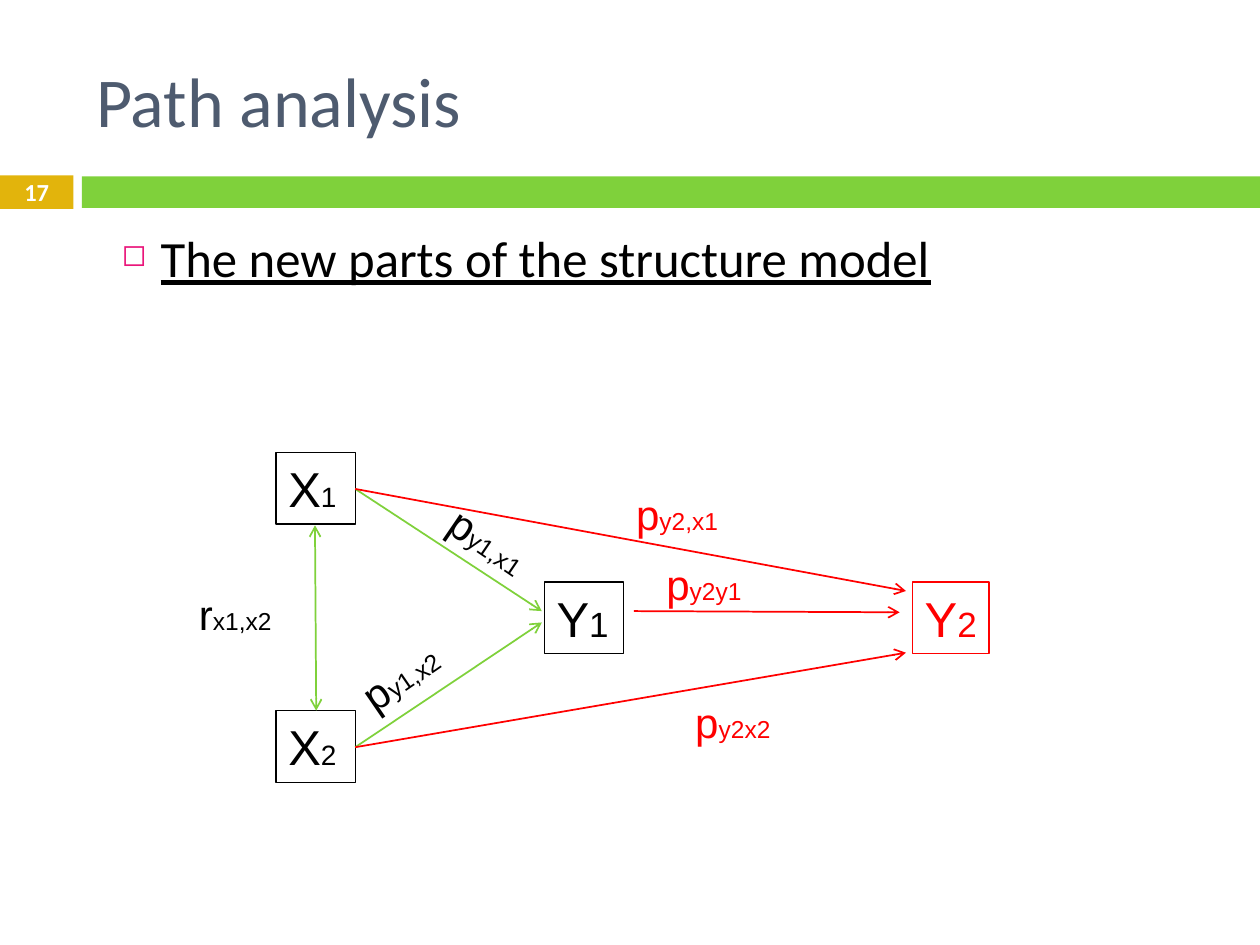
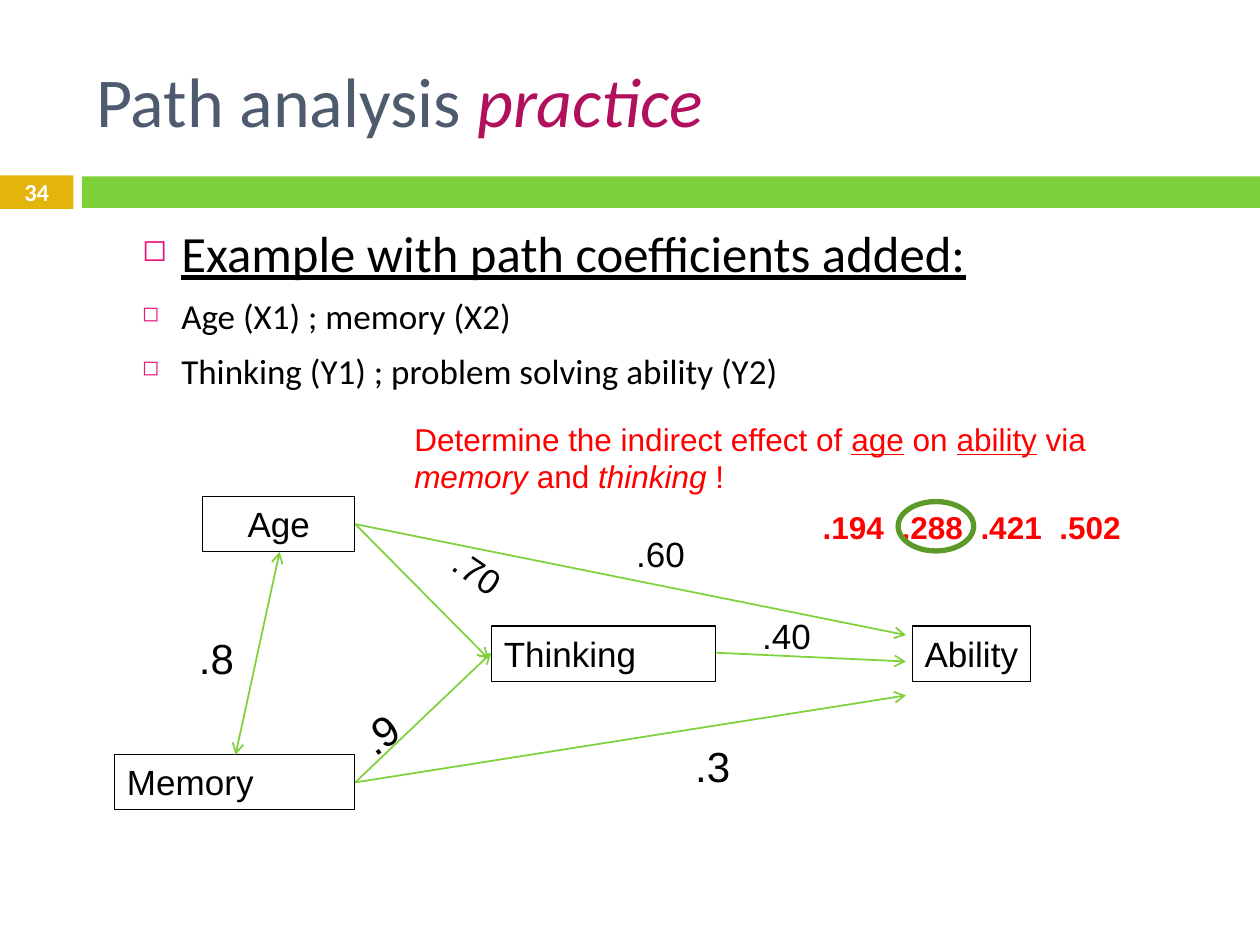
from dataclasses import dataclass, field
from typing import Any

from lxml.etree import SubElement
from pptx import Presentation
from pptx.dml.color import RGBColor
from pptx.enum.shapes import MSO_CONNECTOR, MSO_SHAPE
from pptx.enum.text import MSO_ANCHOR, PP_ALIGN
from pptx.oxml.ns import qn
from pptx.slide import Slide
from pptx.util import Pt

BLACK, WHITE, RED = "000000", "FFFFFF", "FF0000"
GREEN, DARK_GREEN, GOLD = "7FD13B", "5C9929", "E2B40C"
PINK, PLUM, SLATE = "EA157A", "B0105C", "4E5B6F"
HEADING, BODY = "Calibri", "Arial"
PRACTICE_DROP = 25.2
OPTION_STEP = 45.1


@dataclass
class Run:
    text: str
    size: float
    color: str = BLACK
    font: str = BODY
    style: dict[str, Any] = field(default_factory=dict)


@dataclass
class Box:
    left: float
    top: float
    width: float
    height: float
    rotation: float = 0


@dataclass
class Node:
    box: Box
    runs: list[Run]
    color: str = BLACK
    centered: bool = False
    wrap: bool = True


@dataclass
class Arrow:
    start: tuple[float, float]
    end: tuple[float, float]
    color: str = GREEN
    double: bool = False


@dataclass
class Label:
    slot: str
    runs: list[Run]
    shift: float = 0
    drop: float = 0


LABEL_SLOTS = {
    "x1 to y2": Box(356.4, 275.8, 73.4, 36),
    "x2 to y2": Box(390.2, 394.6, 62, 36),
    "x1 with x2": Box(106.6, 332.6, 58, 36),
    "x1 to y1": Box(248.4, 293, 67.7, 36, 34.4),
    "x2 to y1": Box(197.3, 366.5, 67.7, 36, 325.6),
    "y1 to y2": Box(373.7, 315.4, 62, 36),
}


def rgb(color: str) -> RGBColor:
    return RGBColor.from_string(color)


def apply(target: Any, values: dict[str, Any]) -> None:
    for name, value in values.items():
        setattr(target, name, value)


def write_runs(paragraph: Any, runs: list[Run]) -> None:
    for item in runs:
        run = paragraph.add_run()
        run.text = item.text
        apply(run.font, {"size": Pt(item.size), "name": item.font, **item.style})
        run.font.color.rgb = rgb(item.color)


def add_text(slide: Slide, box: Box, runs: list[Run], anchor: MSO_ANCHOR = MSO_ANCHOR.TOP) -> Any:
    holder = slide.shapes.add_textbox(Pt(box.left), Pt(box.top), Pt(box.width), Pt(box.height))
    holder.rotation = box.rotation
    apply(holder.text_frame, {"word_wrap": True, "vertical_anchor": anchor})
    write_runs(holder.text_frame.paragraphs[0], runs)
    return holder


def add_outline(slide: Slide, preset: MSO_SHAPE, box: Box, fill: str = "",
                line: str = "", weight: float = 0.75) -> Any:
    outline = slide.shapes.add_shape(preset, Pt(box.left), Pt(box.top), Pt(box.width), Pt(box.height))
    outline.shadow.inherit = False
    for part, color in ((outline.fill, fill), (outline.line.fill, line)):
        if color:
            part.solid()
            part.fore_color.rgb = rgb(color)
        else:
            part.background()
    if line:
        outline.line.width = Pt(weight)
    return outline


def fill_frame(frame: Any, runs: list[Run], centered: bool, wrap: bool, anchor: MSO_ANCHOR) -> None:
    apply(frame, {"word_wrap": wrap, "vertical_anchor": anchor})
    frame.paragraphs[0].alignment = PP_ALIGN.CENTER if centered else PP_ALIGN.LEFT
    write_runs(frame.paragraphs[0], runs)


def add_node(slide: Slide, node: Node) -> None:
    outline = add_outline(slide, MSO_SHAPE.RECTANGLE, node.box, line=node.color)
    fill_frame(outline.text_frame, node.runs, node.centered, node.wrap, MSO_ANCHOR.TOP)


def add_arrow(slide: Slide, arrow: Arrow) -> None:
    connector = slide.shapes.add_connector(
        MSO_CONNECTOR.STRAIGHT, *(Pt(value) for value in arrow.start + arrow.end))
    connector.line.color.rgb = rgb(arrow.color)
    connector.line.width = Pt(1)
    properties = connector._element.spPr
    for tip in ("a:headEnd", "a:tailEnd") if arrow.double else ("a:tailEnd",):
        SubElement(properties.get_or_add_ln(), qn(tip), type="arrow")
    SubElement(properties, qn("a:effectLst"))


def add_bullets(slide: Slide, box: Box, heading: str, details: list[str]) -> None:
    frame = add_text(slide, box, []).text_frame
    lines = [Run(heading, 29, BLACK, HEADING, {"underline": True})]
    lines += [Run(detail, 20, BLACK, HEADING) for detail in details]
    for index, line in enumerate(lines):
        paragraph = frame.add_paragraph() if index else frame.paragraphs[0]
        properties = paragraph._p.get_or_add_pPr()
        properties.set("marL", str(Pt(36.7)))
        properties.set("indent", str(-Pt(22.3)))
        SubElement(SubElement(properties, qn("a:buClr")), qn("a:srgbClr"), val=PINK)
        SubElement(properties, qn("a:buSzPct"), val="60000")
        SubElement(properties, qn("a:buChar"), char="◻")
        if index:
            paragraph.space_before = Pt(7)
        write_runs(paragraph, [line])


def add_diagram(slide: Slide, nodes: list[Node], arrows: list[Arrow],
                labels: list[Label], drop: float = 0) -> None:
    for node in nodes:
        add_node(slide, node)
    for arrow in arrows:
        add_arrow(slide, arrow)
    for label in labels:
        slot = LABEL_SLOTS[label.slot]
        place = Box(slot.left + label.shift, slot.top + drop + label.drop,
                    slot.width, slot.height, slot.rotation)
        add_text(slide, place, label.runs)


def start_slide(deck: Any, number: str, title: list[Run]) -> Slide:
    slide = deck.slides.add_slide(deck.slide_layouts[6])
    add_outline(slide, MSO_SHAPE.RECTANGLE, Box(46.8, 100.8, 673.2, 18), fill=GREEN)
    badge = add_outline(slide, MSO_SHAPE.RECTANGLE, Box(0, 100.2, 42, 19.2), fill=GOLD)
    fill_frame(badge.text_frame, [Run(number, 14, WHITE, HEADING, {"bold": True})],
               True, True, MSO_ANCHOR.MIDDLE)
    add_text(slide, Box(48, 18, 642, 78), title, MSO_ANCHOR.MIDDLE)
    return slide


def symbol(letter: str, index: str, size: float, index_size: float, color: str = BLACK) -> list[Run]:
    return [Run(letter, size, color), Run(index, index_size, color)]


def build_structure_slide(deck: Any) -> None:
    slide = start_slide(deck, "17", [Run("Path analysis", 40, SLATE, HEADING)])
    add_bullets(slide, Box(48, 126, 642, 354), "The new parts of the structure model", [])
    x1, x2 = (203, 279.4), (203, 427)
    nodes = [
        Node(Box(157.7, 258.5, 45.4, 41), symbol("X", "1", 28, 16)),
        Node(Box(157.7, 406.1, 45.4, 41), symbol("X", "2", 28, 16)),
        Node(Box(311, 332.6, 45.4, 41), symbol("Y", "1", 28, 20)),
        Node(Box(521.3, 332.6, 43.9, 41), symbol("Y", "2", 28, 20, RED), RED, wrap=False),
    ]
    arrows = [
        Arrow((180, 300.2), (180.7, 406.1), double=True),
        Arrow(x1, (309.6, 349.2)),
        Arrow(x2, (309.6, 355.7)),
        Arrow(x1, (517.7, 337.7), RED),
        Arrow(x2, (517.7, 373), RED),
        Arrow((362.2, 349.2), (514.1, 349.9), RED),
    ]
    coefficients = [
        ("x1 to y2", "p", "y2,x1", RED),
        ("x2 to y2", "p", "y2x2", RED),
        ("x1 with x2", "r", "x1,x2", BLACK),
        ("x1 to y1", "p", "y1,x1", BLACK),
        ("x2 to y1", "p", "y1,x2", BLACK),
        ("y1 to y2", "p", "y2y1", RED),
    ]
    labels = [Label(slot, symbol(letter, index, 24, 14, color))
              for slot, letter, index, color in coefficients]
    add_diagram(slide, nodes, arrows, labels)


def build_practice_slide(deck: Any) -> None:
    slide = start_slide(deck, "34", [
        Run("Path analysis ", 40, SLATE, HEADING),
        Run("practice", 40, PLUM, HEADING, {"italic": True}),
    ])
    add_bullets(slide, Box(59.8, 123.1, 642, 354), "Example with path coefficients added:", [
        "Age (X1) ; memory (X2)",
        "Thinking (Y1) ; problem solving ability (Y2)",
    ])
    age, memory = (203, 299.5), (203, 447.1)
    nodes = [
        Node(Box(115.9, 283.7, 86.9, 31.5), [Run("Age", 20)], centered=True),
        Node(Box(65.5, 431.3, 137.3, 31.5), [Run("Memory", 20)]),
        Node(Box(280.8, 357.8, 128.2, 31.5), [Run("Thinking", 20)]),
        Node(Box(521.3, 357.8, 67.7, 31.5), [Run("Ability", 20)], wrap=False),
    ]
    arrows = [
        Arrow((159.8, 315.4), (134.6, 431.3), double=True),
        Arrow(age, (279.4, 376.6)),
        Arrow(memory, (280.8, 373)),
        Arrow(age, (517.7, 362.9)),
        Arrow(memory, (517.7, 397.4)),
        Arrow((409, 373), (517.7, 378)),
    ]
    labels = [
        Label("x1 to y2", [Run(".60", 20)]),
        Label("x2 to y2", [Run(".3", 24)]),
        Label("x1 with x2", [Run(".8", 24)]),
        Label("x1 to y1", [Run(".70", 20)]),
        Label("x2 to y1", [Run(".9", 24)]),
        Label("y1 to y2", [Run(".40", 20)], shift=54.7, drop=7.2),
    ]
    add_diagram(slide, nodes, arrows, labels, PRACTICE_DROP)

    underlined, slanted = {"underline": True}, {"italic": True}
    question = [
        ("Determine the indirect effect of ", {}), ("age", underlined), (" on ", {}),
        ("ability", underlined), (" via ", {}), ("memory", slanted), (" and ", {}),
        ("thinking", slanted), (" !", {}),
    ]
    add_text(slide, Box(229.7, 236.2, 453.6, 50.4),
             [Run(text, 18, RED, BODY, style) for text, style in question])

    answers = [".194", ".288", ".421", ".502"]
    options = add_text(slide, Box(463, 286.6, 190, 28.8), [])
    paragraph = options.text_frame.paragraphs[0]
    stops = SubElement(paragraph._p.get_or_add_pPr(), qn("a:tabLst"))
    for step in range(1, len(answers)):
        SubElement(stops, qn("a:tab"), pos=str(Pt(step * OPTION_STEP)), algn="l")
    write_runs(paragraph, [Run("\t".join(answers), 18, RED, BODY, {"bold": True})])
    add_outline(slide, MSO_SHAPE.OVAL, Box(513.2, 286.6, 43.2, 28.2), line=DARK_GREEN, weight=3)


def main() -> None:
    deck = Presentation()
    apply(deck, {"slide_width": Pt(720), "slide_height": Pt(540)})
    build_structure_slide(deck)
    build_practice_slide(deck)
    deck.save("out.pptx")


if __name__ == "__main__":
    main()
